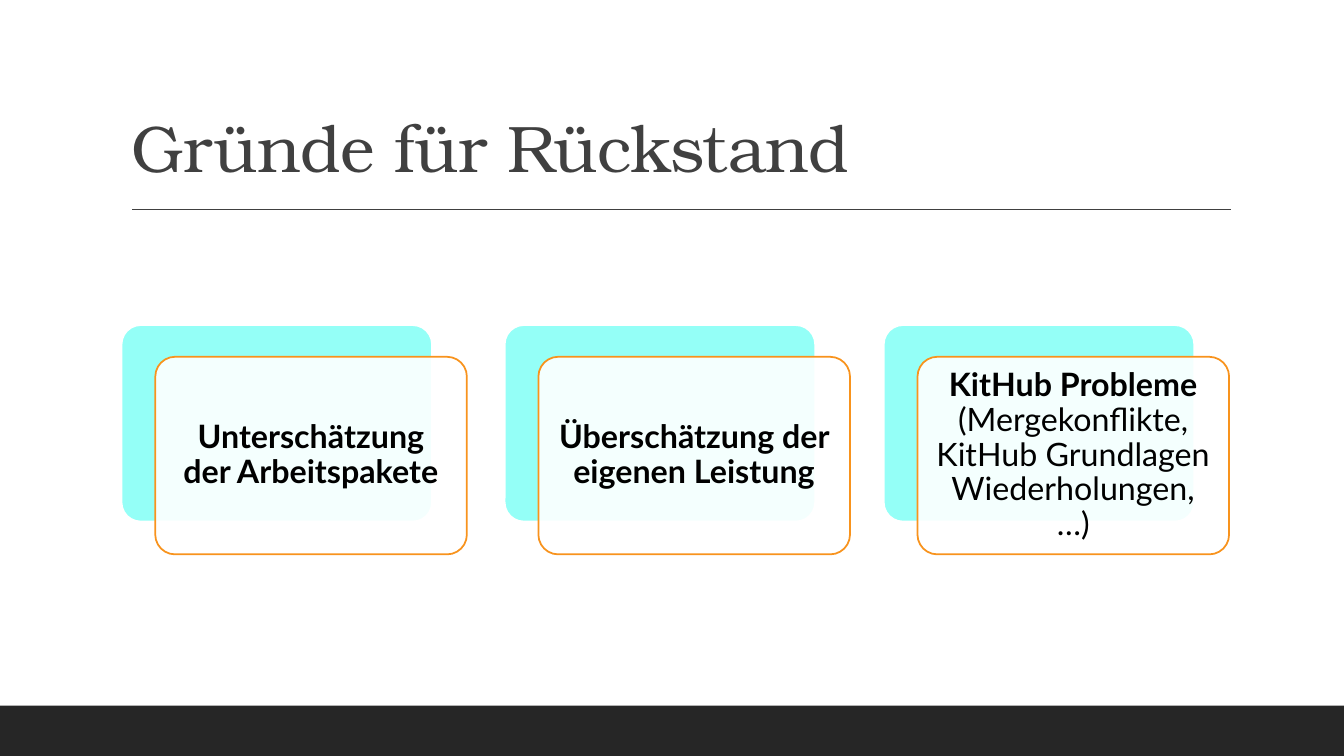
"""Slide with three overlapping card pairs naming the reasons for a delay."""
from lxml.etree import SubElement
from pptx import Presentation
from pptx.dml.color import RGBColor
from pptx.enum.shapes import MSO_CONNECTOR, MSO_SHAPE
from pptx.enum.text import MSO_ANCHOR, PP_ALIGN
from pptx.oxml.ns import qn
from pptx.util import Inches, Pt

COLORS = {"footer": "262626", "title": "404040", "back": "94FFF7",
          "front": "FFFFFF", "border": "F8931D", "text": "000000"}
REASONS = [
    (1.2, [("Unterschätzung der Arbeitspakete", True)]),
    (5.0, [("Überschätzung der eigenen Leistung", True)]),
    (8.76, [("KitHub Probleme ", True),
            ("(Mergekonflikte, KitHub Grundlagen Wiederholungen, …)", False)]),
]
CARD_TOP, CARD_WIDTH, CARD_HEIGHT = 3.22, 3.09, 1.96
SHIFT_X, SHIFT_Y = 0.34, 0.32


def add_block(kind, left, top, width, height, fill, line=None, weight=1):
    block = page.shapes.add_shape(kind, Inches(left), Inches(top), Inches(width), Inches(height))
    block.shadow.inherit = False
    block.fill.solid()
    block.fill.fore_color.rgb = RGBColor.from_string(COLORS[fill])
    if line:
        block.line.color.rgb = RGBColor.from_string(COLORS[line])
        block.line.width = Pt(weight)
    else:
        block.line.fill.background()
    return block


def add_span(para, text, font, size, color, bold=False):
    span = para.add_run()
    span.text = text
    span.font.name = font
    span.font.size = Pt(size)
    span.font.bold = bold
    span.font.color.rgb = RGBColor.from_string(COLORS[color])
    return span


deck = Presentation()
deck.slide_width, deck.slide_height = Inches(13.33), Inches(7.5)
page = deck.slides.add_slide(deck.slide_layouts[5])

add_block(MSO_SHAPE.RECTANGLE, 0, 7, 13.33, 0.5, "footer")

rule = page.shapes.add_connector(MSO_CONNECTOR.STRAIGHT, Inches(1.31), Inches(2.08),
                                 Inches(12.21), Inches(2.08))
rule.line.color.rgb = RGBColor.from_string(COLORS["title"])
rule.line.width = Pt(1)
SubElement(rule._element.spPr, qn("a:effectLst"))

title = page.shapes.title
title.left, title.top, title.width, title.height = (
    Inches(1.2), Inches(0.31), Inches(11), Inches(1.59))
title.text_frame.word_wrap = True
title.text_frame.vertical_anchor = MSO_ANCHOR.BOTTOM
heading = title.text_frame.paragraphs[0]
heading.alignment = PP_ALIGN.LEFT
heading.line_spacing = 0.9
span = add_span(heading, "Gründe für Rückstand", "TeX Gyre Bonum", 47, "title")
span.font._element.set("spc", "-50")

for left, spans in REASONS:
    back = add_block(MSO_SHAPE.ROUNDED_RECTANGLE, left, CARD_TOP, CARD_WIDTH, CARD_HEIGHT,
                     "back", "front", 2)
    card = add_block(MSO_SHAPE.ROUNDED_RECTANGLE, left + SHIFT_X, CARD_TOP + SHIFT_Y,
                     CARD_WIDTH, CARD_HEIGHT, "front", "border", 1.25)
    back.adjustments[0] = card.adjustments[0] = 0.1
    fill_color = card._element.spPr.find(qn("a:solidFill"))[0]
    SubElement(fill_color, qn("a:alpha"), val="90000")

    frame = card.text_frame
    frame.word_wrap = True
    frame.vertical_anchor = MSO_ANCHOR.MIDDLE
    frame.margin_left = frame.margin_right = Inches(0.1)
    frame.margin_top = frame.margin_bottom = Inches(0.1)
    para = frame.paragraphs[0]
    para.alignment = PP_ALIGN.CENTER
    para.line_spacing = 0.9
    for text, bold in spans:
        add_span(para, text, "Lato", 23, "text", bold)

deck.save("out.pptx")
